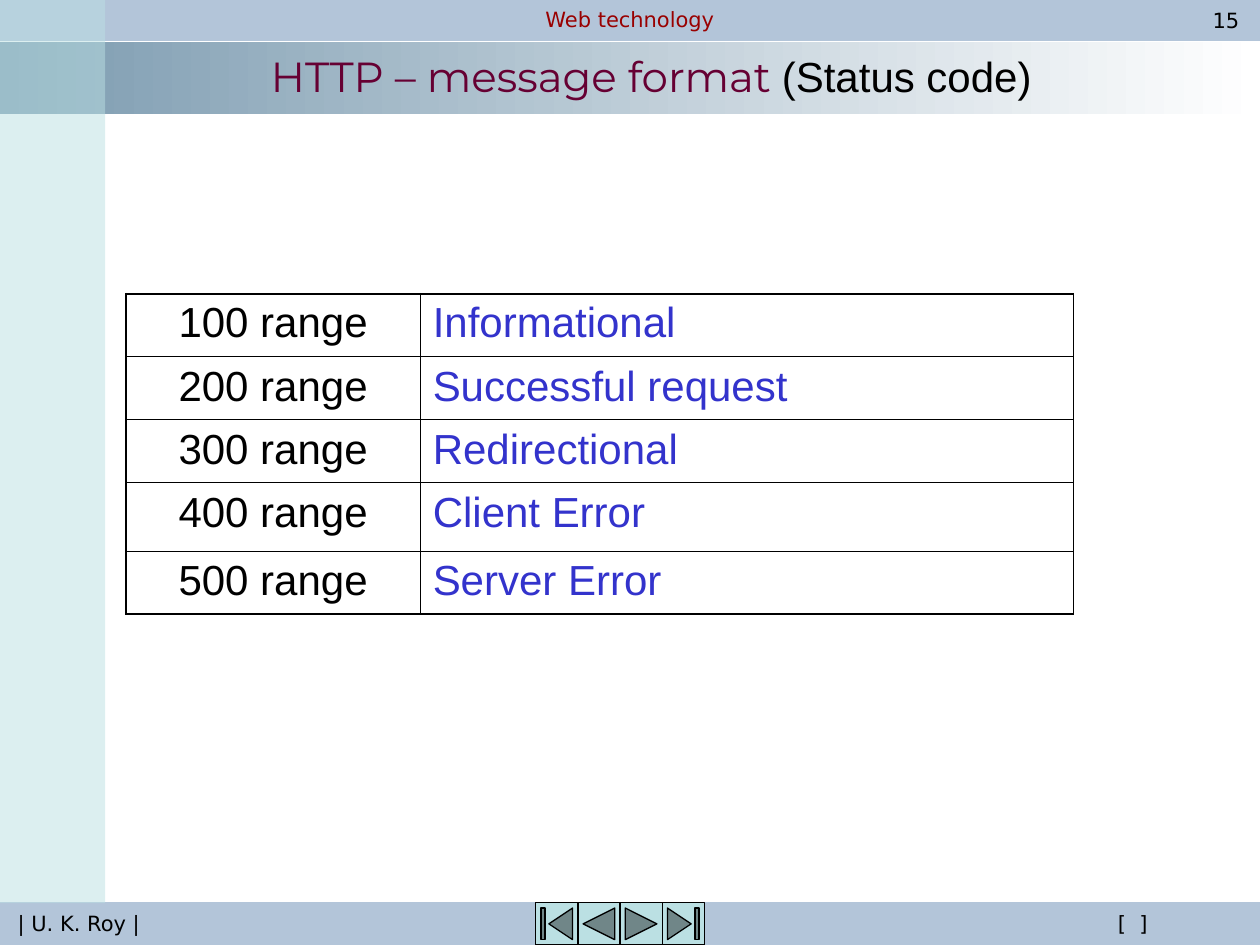
from dataclasses import dataclass
from typing import Any

from lxml import etree
from pptx import Presentation, util as u
from pptx.dml.color import RGBColor
from pptx.enum import shapes, text
from pptx.oxml.ns import qn

COLOURS = {
    "black": "000000", "white": "FFFFFF", "bar": "B3C5D9", "band": "7C9BB0",
    "aqua": "BBE0E3", "heading": "990000", "title": "660033",
    "meaning": "3333CC", "shadow": "808080",
}
STATUS_CODES = [
    ("100 range", "Informational"),
    ("200 range", "Successful request"),
    ("300 range", "Redirectional"),
    ("400 range", "Client Error"),
    ("500 range", "Server Error"),
]
INNER, OUTER = 0.45, 1.08


def rgb(colour):
    return RGBColor.from_string(COLOURS[colour])


def solid(parent, colour):
    fill = etree.SubElement(parent, qn("a:solidFill"))
    return etree.SubElement(fill, qn("a:srgbClr"), val=COLOURS[colour])


@dataclass
class Deck:
    slide: Any
    label_font: str = "DejaVu Sans"
    body_font: str = "Arial"
    label_size: int = 12
    body_size: int = 24

    def shape(self, kind, left, top, width, height, fill=None, line=None):
        shape = self.slide.shapes.add_shape(
            kind, u.Cm(left), u.Cm(top), u.Cm(width), u.Cm(height))
        shape.shadow.inherit = False
        if fill:
            shape.fill.solid()
            shape.fill.fore_color.rgb = rgb(fill)
        else:
            shape.fill.background()
        if line:
            shape.line.color.rgb = rgb(line)
            shape.line.width = u.Pt(0.75)
        else:
            shape.line.fill.background()
        return shape

    def bar(self, left, top, width, height, fill, line=None):
        return self.shape(shapes.MSO_SHAPE.RECTANGLE,
                          left, top, width, height, fill, line)

    def gradient_bar(self, left, top, width, height, start, end):
        band = self.bar(left, top, width, height, start)
        band.fill.gradient()
        band.fill.gradient_angle = 0
        for stop, colour in zip(band.fill.gradient_stops, (start, end)):
            stop.color.rgb = rgb(colour)

    def veil(self, left, top, width, height, fill, opacity):
        """Bar that lets what lies behind it show through."""
        veil = self.bar(left, top, width, height, fill)
        tint = veil.fill._xPr.find(".//" + qn("a:srgbClr"))
        etree.SubElement(tint, qn("a:alpha"), val=str(opacity * 1000))

    def format_run(self, run, font, size, colour):
        run.font.name = font
        run.font.size = u.Pt(size)
        run.font.color.rgb = rgb(colour)

    def cast_shadow(self, run):
        effects = etree.Element(qn("a:effectLst"))
        shadow = etree.SubElement(effects, qn("a:outerShdw"),
                                  dist="38100", dir="2700000")
        etree.SubElement(shadow, qn("a:srgbClr"), val=COLOURS["shadow"])
        run.font._element.find(qn("a:solidFill")).addnext(effects)

    def label(self, wording, left, top, width, height, colour="black"):
        label = self.shape(shapes.MSO_SHAPE.ROUNDED_RECTANGLE,
                           left, top, width, height)
        label.adjustments[0] = 0.47
        frame = label.text_frame
        frame.text = wording
        frame.word_wrap = False
        frame.margin_top = frame.margin_bottom = 0
        frame.vertical_anchor = text.MSO_ANCHOR.MIDDLE
        frame.paragraphs[0].alignment = text.PP_ALIGN.CENTER
        run = frame.paragraphs[0].runs[0]
        self.format_run(run, self.label_font, self.label_size, colour)
        return run

    def title(self, parts, left, top, width, height):
        box = self.slide.shapes.add_textbox(
            u.Cm(left), u.Cm(top), u.Cm(width), u.Cm(height))
        frame = box.text_frame
        frame.word_wrap = True
        frame.vertical_anchor = text.MSO_ANCHOR.MIDDLE
        heading = frame.paragraphs[0]
        heading.alignment = text.PP_ALIGN.CENTER
        for wording, font, colour in parts:
            run = heading.add_run()
            run.text = wording
            self.format_run(run, font, self.body_size, colour)
            self.cast_shadow(run)

    def border(self, cell, side, points):
        edge = etree.SubElement(cell._tc.get_or_add_tcPr(), qn("a:ln" + side),
                                w=str(u.Pt(points)))
        solid(edge, "black")

    def table(self, rows, left, top, widths, heights):
        last_row, last_column = len(rows) - 1, len(widths) - 1
        table = self.slide.shapes.add_table(
            len(rows), len(widths), u.Cm(left), u.Cm(top),
            u.Cm(sum(widths)), u.Cm(sum(heights))).table
        table.first_row = table.horz_banding = False
        for column, width in zip(table.columns, widths):
            column.width = u.Cm(width)
        styles = [(text.PP_ALIGN.CENTER, "black"),
                  (text.PP_ALIGN.LEFT, "meaning")]
        for r, (row, height) in enumerate(zip(rows, heights)):
            table.rows[r].height = u.Cm(height)
            for c, (wording, (alignment, colour)) in enumerate(zip(row, styles)):
                cell = table.cell(r, c)
                cell.text = wording
                paragraph = cell.text_frame.paragraphs[0]
                paragraph.alignment = alignment
                self.format_run(paragraph.runs[0], self.body_font,
                                self.body_size, colour)
                on_edge = {"L": c == 0, "R": c == last_column,
                           "T": r == 0, "B": r == last_row}
                for side, outer in on_edge.items():
                    self.border(cell, side, OUTER if outer else INNER)
                cell.fill.background()


def main():
    prs = Presentation()
    prs.slide_width, prs.slide_height = u.Cm(25.4), u.Cm(19.05)
    deck = Deck(prs.slides.add_slide(prs.slide_layouts[6]))

    deck.gradient_bar(0, 0.84, 25.4, 1.47, "band", "white")
    deck.bar(0, 0, 25.4, 0.81, "bar", "bar")
    deck.label("Web technology", 8.89, 0, 7.62, 0.78, "heading")
    deck.bar(0, 18.19, 25.4, 0.84, "bar", "bar")
    deck.label("| U. K. Roy |", 0, 18.21, 3.18, 0.81)
    section = deck.label("[ ]", 20.32, 18.21, 5.03, 0.81)
    section.font._element.set("spc", "190")
    deck.cast_shadow(section)

    kinds = shapes.MSO_SHAPE
    navigation = [kinds.ACTION_BUTTON_BEGINNING,
                  kinds.ACTION_BUTTON_BACK_OR_PREVIOUS,
                  kinds.ACTION_BUTTON_FORWARD_OR_NEXT,
                  kinds.ACTION_BUTTON_END]
    button = 0.85
    for i, kind in enumerate(navigation):
        deck.shape(kind, 10.8 + i * button, 18.2, button, button, "aqua", "black")

    deck.label("15", 24.08, 0, 1.27, 0.81)
    deck.veil(0, 0, 2.12, 18.21, "aqua", 50)
    deck.title([("HTTP – message format ", "Montserrat", "title"),
                ("(Status code)", "Arial", "black")], 2.12, 0.33, 22.02, 2.41)
    deck.table(STATUS_CODES, 2.54, 5.92, [5.93, 13.17],
               [1.27, 1.27, 1.27, 1.38, 1.27])
    prs.save("out.pptx")


if __name__ == "__main__":
    main()
